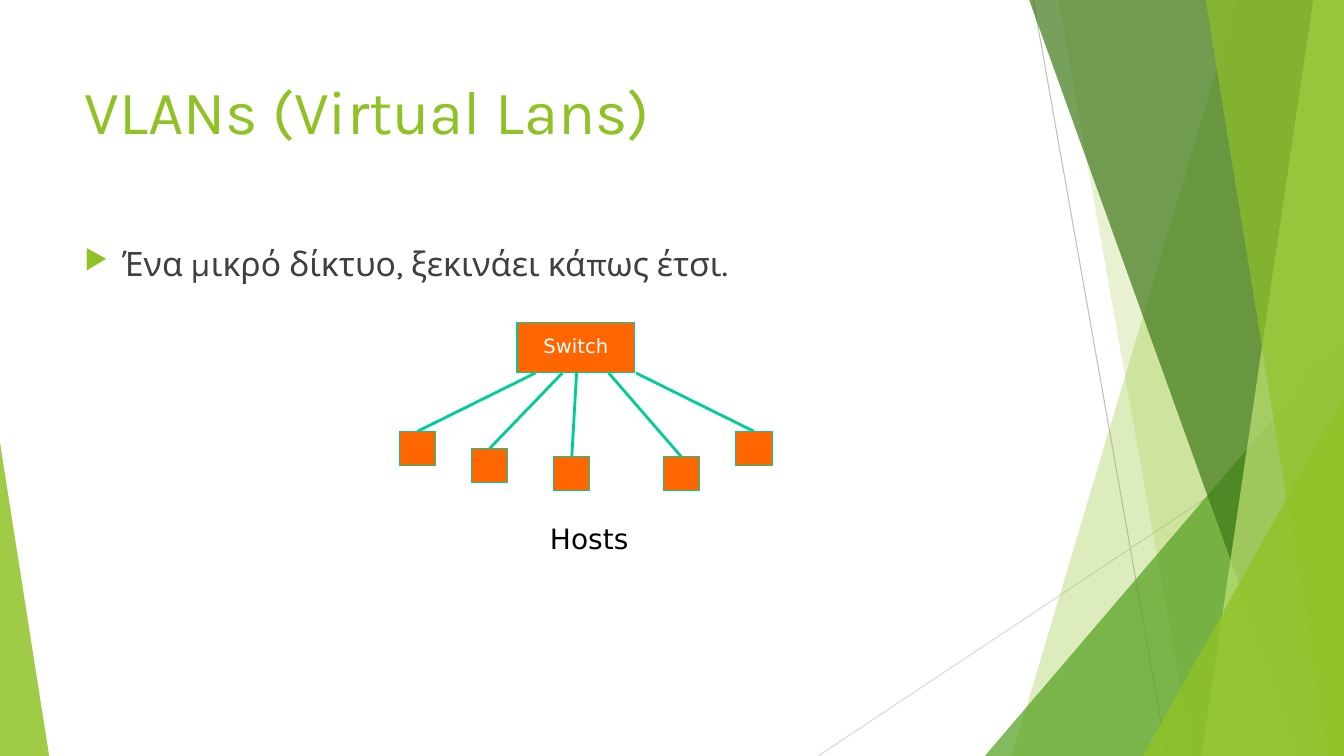
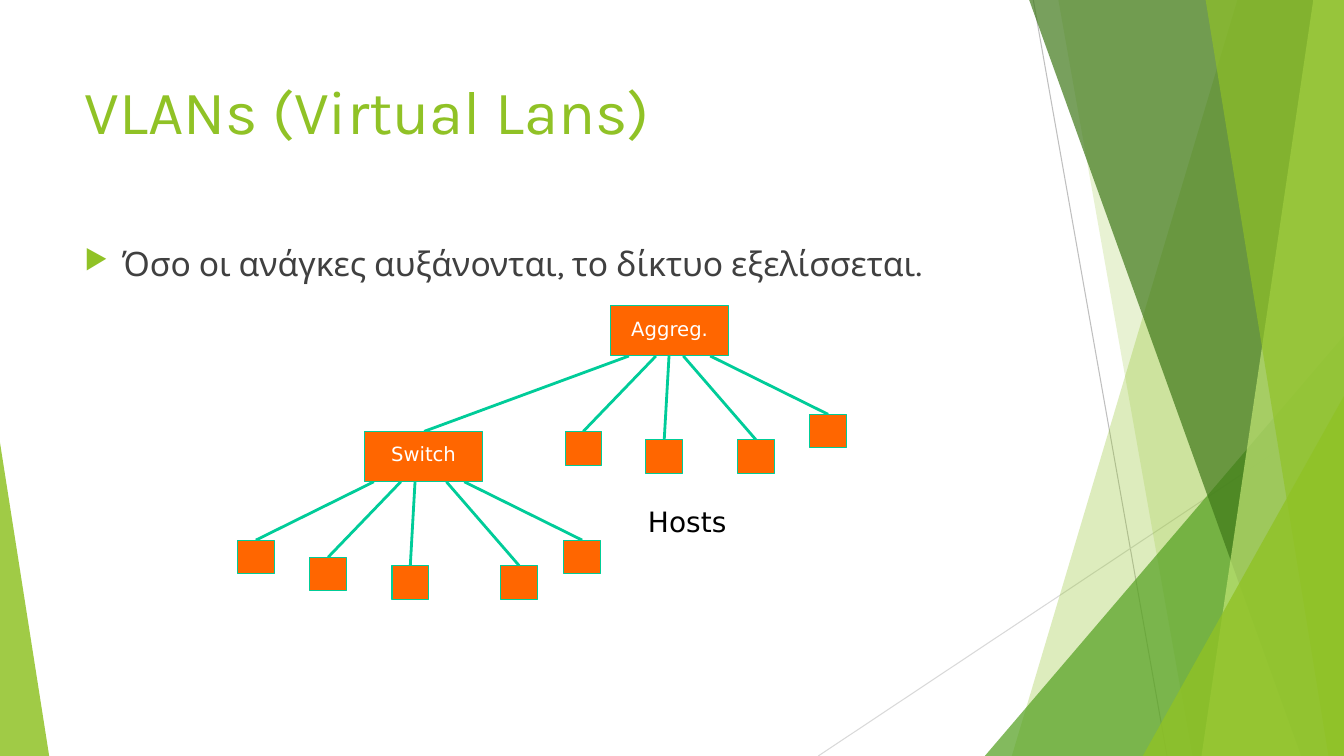
"""Build two slides that show how a switched network grows."""
from dataclasses import dataclass

from lxml import etree
from pptx import Presentation
from pptx.dml.color import RGBColor
from pptx.enum import shapes, text
from pptx.oxml import ns
from pptx.util import Cm, Pt


@dataclass(frozen=True)
class Theme:
    """Hold the colours, fonts, type sizes and line widths."""
    green: str = "90C226"
    leaf: str = "54A021"
    forest: str = "3F7819"
    lime: str = "C0E474"
    gray: str = "BFBFBF"
    pale_gray: str = "D9D9D9"
    body: str = "404040"
    black: str = "000000"
    white: str = "FFFFFF"
    node: str = "FF6600"
    node_edge: str = "00CC98"
    link: str = "00CC99"
    heading_font: str = "Karla"
    diagram_font: str = "DejaVu Sans"
    title_size: int = 44
    body_size: int = 24
    hosts_size: int = 20
    node_size: int = 14
    thin: float = 0.75
    thick: float = 2


THEME = Theme()
WIDTH, HEIGHT = 33.87, 19.05
NODE_WIDTH, NODE_HEIGHT = 2.97, 1.27
HOST_WIDTH, HOST_HEIGHT = 0.92, 0.85
HOST_LINKS = [(-2.97, 1.47), (-1.83, 1.9), (-0.12, 2.11), (1.83, 2.11), (2.97, 1.47)]
UPLINK = (-5.16, 1.9)


def write_text(frame, content, *, size, color, font, align=text.PP_ALIGN.LEFT,
               anchor=text.MSO_ANCHOR.TOP, line_spacing=None, space_before=None):
    """Write one formatted paragraph into a text frame."""
    frame.word_wrap = True
    frame.auto_size = text.MSO_AUTO_SIZE.NONE
    frame.vertical_anchor = anchor
    paragraph = frame.paragraphs[0]
    paragraph.alignment = align
    paragraph.line_spacing = line_spacing
    paragraph.space_before = space_before
    run = paragraph.add_run()
    run.text = content
    run.font.size = Pt(size)
    run.font.name = font
    run.font.color.rgb = RGBColor.from_string(color)


def paint(shape, fill, opacity=None, edge=None):
    """Set the fill, opacity and outline of a shape."""
    shape.shadow.inherit = False
    shape.fill.solid()
    shape.fill.fore_color.rgb = RGBColor.from_string(fill)
    if opacity is not None:
        color = next(shape.element.spPr.iter(ns.qn("a:srgbClr")))
        etree.SubElement(color, ns.qn("a:alpha")).set("val", str(opacity * 1000))
    if edge:
        shape.line.color.rgb = RGBColor.from_string(edge)
        shape.line.width = Pt(THEME.thin)
    else:
        shape.line.fill.background()


def add_line(slide, start, end, color, width):
    """Draw a straight line between two points."""
    line = slide.shapes.add_connector(
        shapes.MSO_CONNECTOR.STRAIGHT, *(Cm(value) for value in (*start, *end)))
    line.line.color.rgb = RGBColor.from_string(color)
    line.line.width = Pt(width)
    etree.SubElement(line.element.spPr, ns.qn("a:effectLst"))


def add_beam(slide, top_x, bottom_x, color, opacity):
    """Draw a translucent band from a slanted edge to the right margin."""
    top = -0.02
    builder = slide.shapes.build_freeform(Cm(top_x), Cm(top))
    corners = [(WIDTH, top), (WIDTH, HEIGHT), (bottom_x, HEIGHT)]
    builder.add_line_segments([(Cm(x), Cm(y)) for x, y in corners], close=True)
    paint(builder.convert_to_shape(), color, opacity)


def add_triangle(slide, left, top, width, apex, color, opacity):
    """Draw a translucent triangle that stands on the bottom edge."""
    triangle = slide.shapes.add_shape(
        shapes.MSO_SHAPE.ISOSCELES_TRIANGLE,
        Cm(left), Cm(top), Cm(width), Cm(HEIGHT - top))
    triangle.adjustments[0] = apex
    paint(triangle, color, opacity)


def decorate_layout(layout, slide):
    """Draw the green facets and move them behind the layout's placeholders."""
    existing = len(slide.shapes)
    add_line(slide, (26.04, 0), (29.41, HEIGHT), THEME.gray, THEME.thin)
    add_line(slide, (WIDTH, 10.24), (20.62, HEIGHT), THEME.pale_gray, THEME.thin)
    add_beam(slide, 31.19, 25.5, THEME.green, 30)
    add_beam(slide, 26.67, 30.05, THEME.green, 20)
    add_triangle(slide, 24.82, 8.46, 9.05, 1, THEME.leaf, 72)
    add_beam(slide, 25.93, 32.79, THEME.forest, 70)
    add_beam(slide, 33.1, 30.28, THEME.lime, 70)
    add_beam(slide, 30.38, 33.48, THEME.green, 65)
    add_triangle(slide, 28.8, 9.98, 5.07, 1, THEME.green, 80)
    add_triangle(slide, 0, 11.15, 1.24, 0, THEME.green, 85)
    for index, facet in enumerate(list(slide.shapes)[existing:]):
        next(facet.element.iter(ns.qn("p:cNvPr"))).set("id", str(100 + index))
        layout.shapes.element.insert(2 + index, facet.element)


def add_title(slide, content):
    """Place and format the slide title."""
    title = slide.shapes.title
    title.left, title.top, title.width, title.height = (
        Cm(value) for value in (1.88, 1.7, 23.88, 3.66))
    write_text(title.text_frame, content, size=THEME.title_size,
               color=THEME.green, font=THEME.heading_font)


def add_bullet(slide, content):
    """Add the statement with its green arrow bullet."""
    box = slide.shapes.add_textbox(Cm(1.88), Cm(6), Cm(23.88), Cm(10.77))
    write_text(box.text_frame, content, size=THEME.body_size, color=THEME.body,
               font=THEME.heading_font, space_before=Pt(10))
    properties = next(box.element.iter(ns.qn("a:pPr")))
    properties.set("marL", str(Cm(0.95)))
    properties.set("indent", str(-Cm(0.95)))
    bullet_color = etree.SubElement(properties, ns.qn("a:buClr"))
    etree.SubElement(bullet_color, ns.qn("a:srgbClr")).set("val", THEME.green)
    etree.SubElement(properties, ns.qn("a:buSzPct")).set("val", "80000")
    etree.SubElement(properties, ns.qn("a:buChar")).set("char", "▶")


def add_box(slide, left, top, width, height):
    """Draw an orange network box."""
    box = slide.shapes.add_shape(
        shapes.MSO_SHAPE.RECTANGLE, Cm(left), Cm(top), Cm(width), Cm(height))
    paint(box, THEME.node, edge=THEME.node_edge)
    return box


def add_node(slide, label, left, top):
    """Draw a labelled switch."""
    box = add_box(slide, left, top, NODE_WIDTH, NODE_HEIGHT)
    write_text(box.text_frame, label, size=THEME.node_size, color=THEME.white,
               font=THEME.diagram_font, align=text.PP_ALIGN.CENTER,
               anchor=text.MSO_ANCHOR.MIDDLE, line_spacing=0.75)


def add_link(slide, left, top, port, reach, drop):
    """Draw a link from a switch port and return its lower end."""
    start = (left + port, top + NODE_HEIGHT)
    end = (start[0] + reach, start[1] + drop)
    add_line(slide, end, start, THEME.link, THEME.thick)
    return end


def add_network(slide, label, left, top, ports, links=HOST_LINKS):
    """Draw a switch with a host at the end of each link."""
    for port, (reach, drop) in zip(ports, links):
        x, y = add_link(slide, left, top, port, reach, drop)
        add_box(slide, x - HOST_WIDTH / 2, y, HOST_WIDTH, HOST_HEIGHT)
    add_node(slide, label, left, top)


def add_hosts_label(slide, left, top):
    """Name the group of hosts."""
    box = slide.shapes.add_textbox(Cm(left), Cm(top), Cm(2.87), Cm(1.27))
    write_text(box.text_frame, "Hosts", size=THEME.hosts_size, color=THEME.black,
               font=THEME.diagram_font, line_spacing=0.75)


def add_slide(presentation, layout, statement):
    """Add a slide with the shared title and its statement."""
    slide = presentation.slides.add_slide(layout)
    add_title(slide, "VLANs (Virtual Lans)")
    add_bullet(slide, statement)
    return slide


def main():
    """Build and save the presentation."""
    presentation = Presentation()
    presentation.slide_width, presentation.slide_height = Cm(WIDTH), Cm(HEIGHT)
    layout = presentation.slide_layouts.get_by_name("Title Only")

    small = add_slide(presentation, layout, "Ένα μικρό δίκτυο, ξεκινάει κάπως έτσι.")
    decorate_layout(layout, small)
    add_network(small, "Switch", 13.03, 8.13, [0.46, 1.14, 1.5, 2.31, 3])
    add_hosts_label(small, 13.61, 13.21)

    grown = add_slide(presentation, layout,
                      "Όσο οι ανάγκες αυξάνονται, το δίκτυο εξελίσσεται.")
    left, top = 15.39, 7.7
    add_link(grown, left, top, 0.46, *UPLINK)
    add_network(grown, "Aggreg.", left, top, [1.14, 1.47, 1.83, 2.51], HOST_LINKS[1:])
    add_network(grown, "Switch", 9.19, 10.87, [0.23, 0.91, 1.27, 2.06, 2.51])
    add_hosts_label(grown, 16.08, 12.78)

    presentation.save("out.pptx")


if __name__ == "__main__":
    main()
